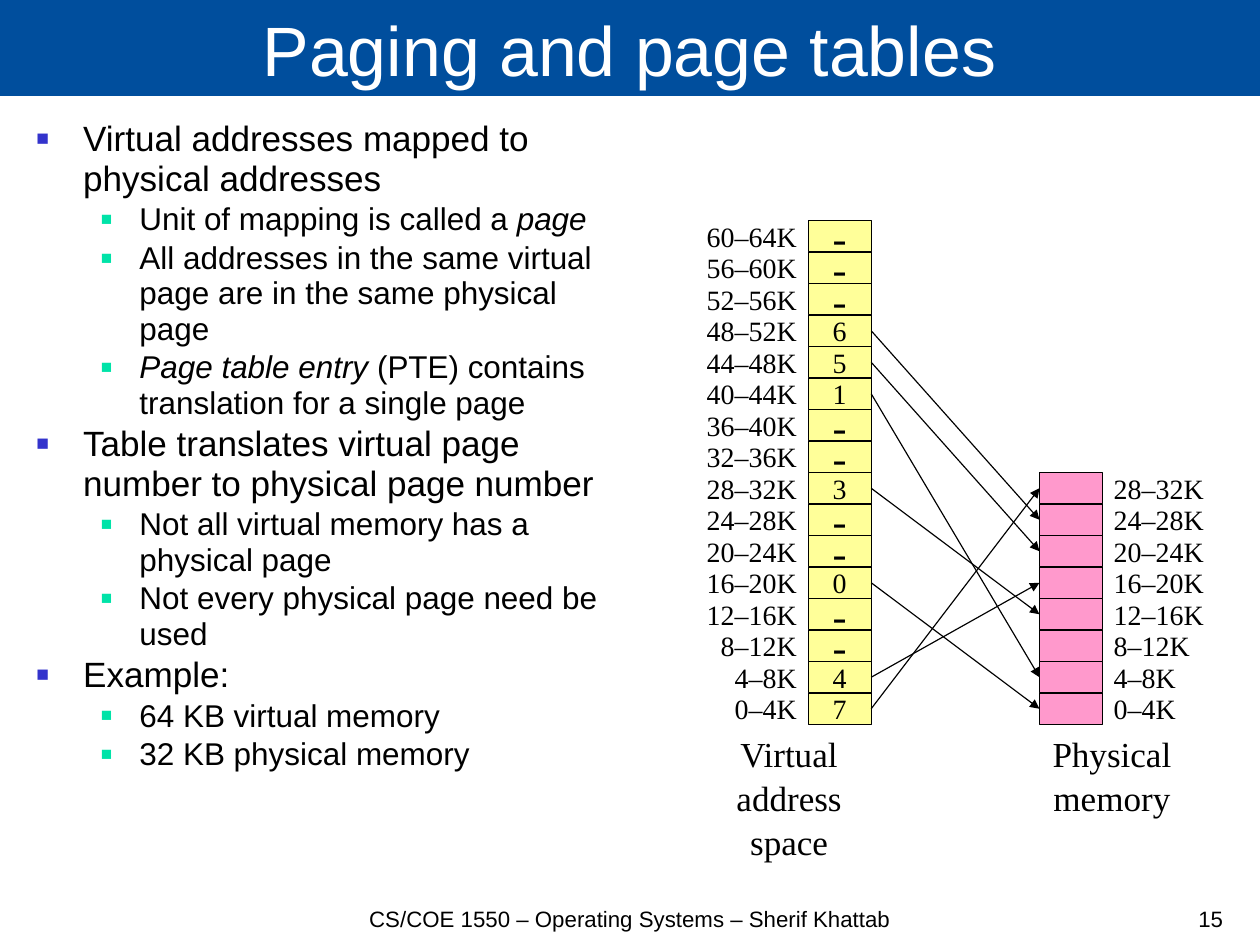
from dataclasses import dataclass

from lxml import etree
from pptx import Presentation
from pptx.dml.color import RGBColor
from pptx.enum.shapes import MSO_CONNECTOR, MSO_SHAPE
from pptx.enum.text import MSO_ANCHOR, PP_ALIGN
from pptx.oxml.ns import qn
from pptx.util import Cm, Pt

RECT, STRAIGHT = MSO_SHAPE.RECTANGLE, MSO_CONNECTOR.STRAIGHT
LEFT, CENTER, RIGHT = PP_ALIGN.LEFT, PP_ALIGN.CENTER, PP_ALIGN.RIGHT
TOP, MIDDLE, BOTTOM = MSO_ANCHOR.TOP, MSO_ANCHOR.MIDDLE, MSO_ANCHOR.BOTTOM


@dataclass(frozen=True)
class Theme:
    sans: str = "Arial"
    serif: str = "Times New Roman"
    ink: str = "000000"
    paper: str = "FFFFFF"
    banner: str = "004E9D"
    virtual: str = "FFFF99"
    physical: str = "FF99CC"
    bullets: tuple = ("3333CC", "00E3A8")
    body: tuple = (22.1, 19.8)
    title: float = 44
    footer: float = 14
    caption: float = 22.1
    row: float = 17.6
    dash: float = 26.5
    rule: float = 0.75


T = Theme()

# (level, text); the part between asterisks is italic
OUTLINE = [
    (0, "Virtual addresses mapped to physical addresses"),
    (1, "Unit of mapping is called a *page*"),
    (1, "All addresses in the same virtual page are in the same physical page"),
    (1, "*Page table entry* (PTE) contains translation for a single page"),
    (0, "Table translates virtual page number to physical page number"),
    (1, "Not all virtual memory has a physical page"),
    (1, "Not every physical page need be used"),
    (0, "Example:"),
    (1, "64 KB virtual memory"),
    (1, "32 KB physical memory"),
]
INDENTS = ((1.04, -1.04), (2.29, -0.86))

PAGE_KB = 4
FRAMES = 8
# Frame number of each virtual page, from address 0 upwards
PAGE_TABLE = [7, 4, None, None, 0, None, None, 3,
              None, None, 1, 5, 6, None, None, None]
CELL_W, CELL_H = 1.4, 0.7


def style(r, size, font=T.sans, color=T.ink, italic=False):
    for name, value in {"size": Pt(size), "name": font, "italic": italic}.items():
        setattr(r.font, name, value)
    r.font.color.rgb = RGBColor.from_string(color)


def write(sp, text, size, font=T.sans, color=T.ink, align=LEFT, anchor=MIDDLE,
          wrap=True, spacing=None, pad=0.13):
    tf = sp.text_frame
    frame = {"word_wrap": wrap, "vertical_anchor": anchor,
             "margin_top": Cm(pad), "margin_bottom": Cm(pad)}
    for name, value in frame.items():
        setattr(tf, name, value)
    p = tf.paragraphs[0]
    p.text, p.alignment, p.line_spacing = text, align, spacing
    for r in p.runs:
        style(r, size, font, color)


def add_text(s, box, text, size, **fmt):
    write(s.shapes.add_textbox(*map(Cm, box)), text, size, **fmt)


def add_rect(s, box, fill, outlined=False):
    sp = s.shapes.add_shape(RECT, *map(Cm, box))
    sp.shadow.inherit = False
    sp.fill.solid()
    sp.fill.fore_color.rgb = RGBColor.from_string(fill)
    if outlined:
        sp.line.color.rgb = RGBColor.from_string(T.ink)
        sp.line.width = Pt(T.rule)
    else:
        sp.line.fill.background()
    return sp


def add_arrow(s, x1, y1, x2, y2):
    c = s.shapes.add_connector(STRAIGHT, *map(Cm, (x1, y1, x2, y2)))
    c.line.color.rgb = RGBColor.from_string(T.ink)
    c.line.width = Pt(T.rule)
    etree.SubElement(c.line._get_or_add_ln(), qn("a:tailEnd"), type="triangle")
    etree.SubElement(c._element.spPr, qn("a:effectLst"))


def add_bullet(p, level):
    left, hang = INDENTS[level]
    pPr = p._p.get_or_add_pPr()
    pPr.set("marL", str(Cm(left)))
    pPr.set("indent", str(Cm(hang)))
    color = etree.SubElement(pPr, qn("a:buClr"))
    etree.SubElement(color, qn("a:srgbClr"), val=T.bullets[level])
    etree.SubElement(pPr, qn("a:buSzPct"), val="60000")
    etree.SubElement(pPr, qn("a:buFont"), typeface=T.sans)
    etree.SubElement(pPr, qn("a:buChar"), char="■")


def title_bar(s, box):
    write(add_rect(s, box, T.banner), "Paging and page tables", T.title,
          color=T.paper, align=CENTER, anchor=BOTTOM)


def outline(s, box):
    tf = s.shapes.add_textbox(*map(Cm, box)).text_frame
    tf.word_wrap = True
    for i, (level, text) in enumerate(OUTLINE):
        p = tf.add_paragraph() if i else tf.paragraphs[0]
        size = T.body[level]
        p.level, p.line_spacing, p.space_before = level, 0.94, Pt(size / 10)
        add_bullet(p, level)
        for n, part in enumerate(text.split("*")):
            if part:
                r = p.add_run()
                r.text = part
                style(r, size, italic=n % 2 == 1)


def memory_map(s, box):
    """Page table on the left of the box, frames on the right, arrows between."""
    left, top, width, height = box
    bottom = top + height
    label_w, frame_label_w = 2.8, 2.1
    table_x = left + label_w
    frame_x = left + width - frame_label_w - CELL_W

    def row_top(n):
        return bottom - (n + 1) * CELL_H

    def label(n, x, w, align):
        sp = add_rect(s, (x, row_top(n), w, CELL_H), T.paper)
        write(sp, f"{n * PAGE_KB}–{(n + 1) * PAGE_KB}K", T.row, font=T.serif,
              align=align, wrap=False, pad=0)

    for page, frame in enumerate(PAGE_TABLE):
        label(page, left, label_w, RIGHT)
        cell = add_rect(s, (table_x, row_top(page), CELL_W, CELL_H), T.virtual, True)
        text, size = ("-", T.dash) if frame is None else (str(frame), T.row)
        write(cell, text, size, font=T.serif, align=CENTER, wrap=False, pad=0)
    for frame in range(FRAMES):
        label(frame, frame_x + CELL_W, frame_label_w, LEFT)
        add_rect(s, (frame_x, row_top(frame), CELL_W, CELL_H), T.physical, True)
    for page, frame in enumerate(PAGE_TABLE):
        if frame is not None:
            add_arrow(s, table_x + CELL_W, row_top(page) + CELL_H / 2,
                      frame_x, row_top(frame) + CELL_H / 2)

    captions = [("Virtual\naddress\nspace", left + 0.94, 2.87, 3.07),
                ("Physical\nmemory", frame_x + 0.02, 3.18, 2.13)]
    for text, x, w, h in captions:
        add_text(s, (x, bottom, w, h), text, T.caption, font=T.serif,
                 align=CENTER, anchor=TOP, wrap=False, spacing=1.05)


def footer(s, box):
    left, top, width, height = box
    number_w = 1.17
    add_text(s, (left, top, 16.56, height),
             "CS/COE 1550 – Operating Systems – Sherif Khattab", T.footer,
             align=CENTER, anchor=BOTTOM)
    add_text(s, (left + width - number_w, top, number_w, height), "15", T.footer,
             align=RIGHT, anchor=BOTTOM)


def main():
    prs = Presentation()
    prs.slide_width, prs.slide_height = Cm(28), Cm(21)
    s = prs.slides.add_slide(prs.slide_layouts[6])
    title_bar(s, (0, -0.03, 28, 2.16))
    outline(s, (0.56, 2.54, 13.77, 17.07))
    memory_map(s, (15.16, 4.9, 11.44, len(PAGE_TABLE) * CELL_H))
    footer(s, (5.72, 20.07, 21.71, 0.76))
    prs.save("out.pptx")


if __name__ == "__main__":
    main()
